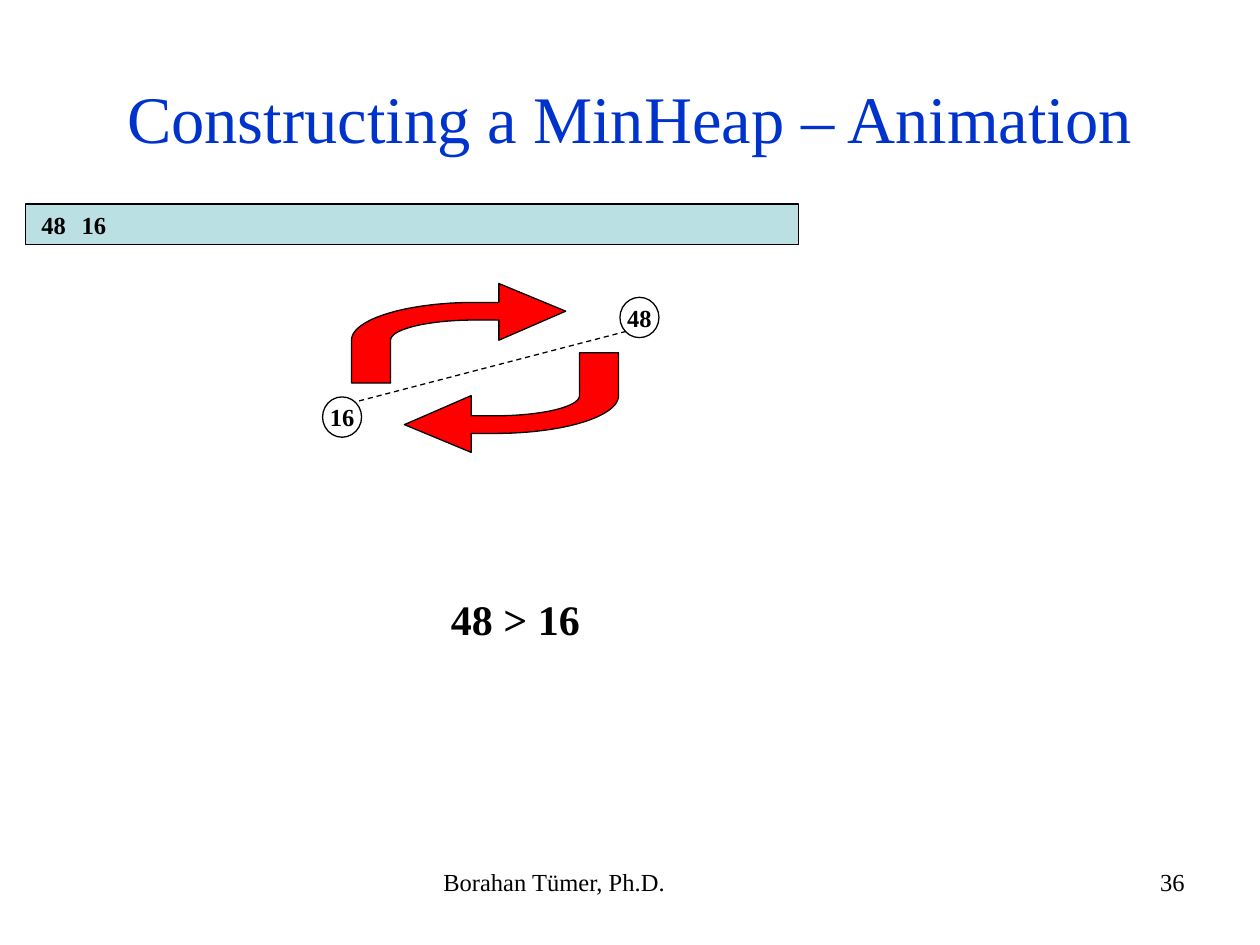
import math
from lxml import etree
from pptx import Presentation
from pptx.dml.color import RGBColor
from pptx.enum import dml, shapes, text
from pptx.oxml.ns import qn
from pptx.util import Inches, Pt

FONT = "Times New Roman"
BLACK, WHITE, BLUE, RED, TEAL = "000000", "FFFFFF", "0033CC", "FF0000", "BBE0E3"
LEFT, MID, RIGHT = text.PP_ALIGN.LEFT, text.PP_ALIGN.CENTER, text.PP_ALIGN.RIGHT
NODE_W, NODE_H = 0.31, 0.32


def color(code):
    return RGBColor.from_string(code)


def paint(shape, fill=None, line=None):
    shape.shadow.inherit = False
    if fill:
        shape.fill.solid()
        shape.fill.fore_color.rgb = color(fill)
    else:
        shape.fill.background()
    if line:
        shape.line.color.rgb = color(line)
        shape.line.width = Pt(0.75)
    else:
        shape.line.fill.background()


def write(shape, words, size, align, ink=BLACK, bold=False, wrap=True):
    frame = shape.text_frame
    frame.text = words
    frame.word_wrap = wrap
    para = frame.paragraphs[0]
    para.alignment = align
    font = para.runs[0].font
    font.name, font.size, font.bold = FONT, Pt(size), bold
    font.color.rgb = color(ink)
    return frame


def add_label(slide, place, words, size, align, **style):
    box = slide.shapes.add_textbox(*map(Inches, place))
    write(box, words, size, align, **style)
    return box


def add_bar(slide, place):
    bar = slide.shapes.add_shape(shapes.MSO_SHAPE.RECTANGLE, *map(Inches, place))
    paint(bar, TEAL, BLACK)


def add_node(slide, x, y, key, line=None):
    node = slide.shapes.add_shape(
        shapes.MSO_SHAPE.OVAL, *map(Inches, (x, y, NODE_W, NODE_H)))
    paint(node, line=line)
    frame = write(node, key, 14, MID, bold=True, wrap=False)
    frame.margin_left = frame.margin_right = 0
    frame.margin_top = frame.margin_bottom = 0
    frame.vertical_anchor = text.MSO_ANCHOR.MIDDLE


def add_edge(slide, start, end):
    edge = slide.shapes.add_connector(
        shapes.MSO_CONNECTOR.STRAIGHT, *map(Inches, start + end))
    edge.line.color.rgb = color(BLACK)
    edge.line.width = Pt(0.75)
    edge.line.dash_style = dml.MSO_LINE.DASH
    etree.SubElement(edge._element.spPr, qn("a:effectLst"))


def bend(rx, ry, steps=24):
    """Points of a quarter ellipse around (3.77, 2.7), from its top to its left."""
    turns = [math.pi / 2 * i / steps for i in range(steps + 1)]
    return [(3.77 - rx * math.sin(t), 2.7 - ry * math.cos(t)) for t in turns]


def add_swap(slide, points):
    build = slide.shapes.build_freeform(
        Inches(points[0][0]), Inches(points[0][1]))
    build.add_line_segments([(Inches(x), Inches(y)) for x, y in points[1:]])
    paint(build.convert_to_shape(), RED, BLACK)


def main():
    deck = Presentation()
    deck.slide_width, deck.slide_height = Inches(10), Inches(7.5)
    slide = deck.slides.add_slide(deck.slide_layouts[6])

    add_label(slide, (3.42, 6.83, 3.17, 0.52), "Borahan Tümer, Ph.D.", 14, LEFT)
    add_label(slide, (7.17, 6.83, 2.33, 0.52), "36", 14, RIGHT)
    title = add_label(slide, (0.5, 0.3, 9, 1.25),
                      "Constructing a MinHeap – Animation", 38, MID, ink=BLUE)
    title.text_frame.vertical_anchor = text.MSO_ANCHOR.MIDDLE

    add_bar(slide, (0.2, 1.62, 6.14, 0.32))
    for i, key in enumerate(("48", "16")):
        add_node(slide, 0.27 + 0.32 * i, 1.62, key)

    add_node(slide, 2.56, 3.15, "16", BLACK)
    add_node(slide, 4.92, 2.36, "48", BLACK)
    add_edge(slide, (4.97, 2.63), (2.82, 3.19))

    note = add_label(slide, (3.48, 4.66, 1.22, 0.5), "48 > 16", 24, LEFT,
                     bold=True, wrap=False)
    paint(note, WHITE)

    over = [(4.49, 2.47), (3.96, 2.25), (3.96, 2.4), *bend(0.98, 0.3),
            (2.79, 3.04), (3.1, 3.04), *reversed(bend(0.67, 0.16)),
            (3.96, 2.54), (3.96, 2.7)]
    under = [(7.7 - x, 5.84 - y) for x, y in over]
    for points in (over, under):
        add_swap(slide, points)

    deck.save("out.pptx")


if __name__ == "__main__":
    main()
